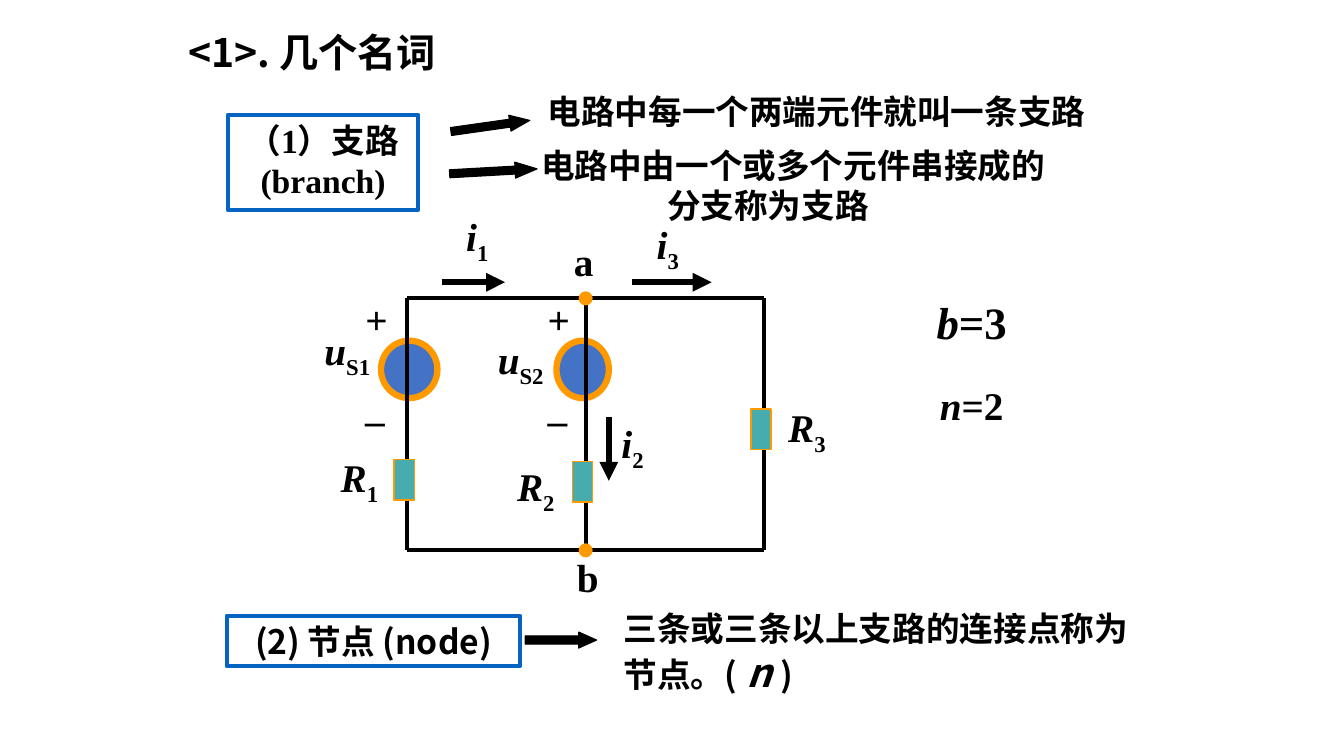
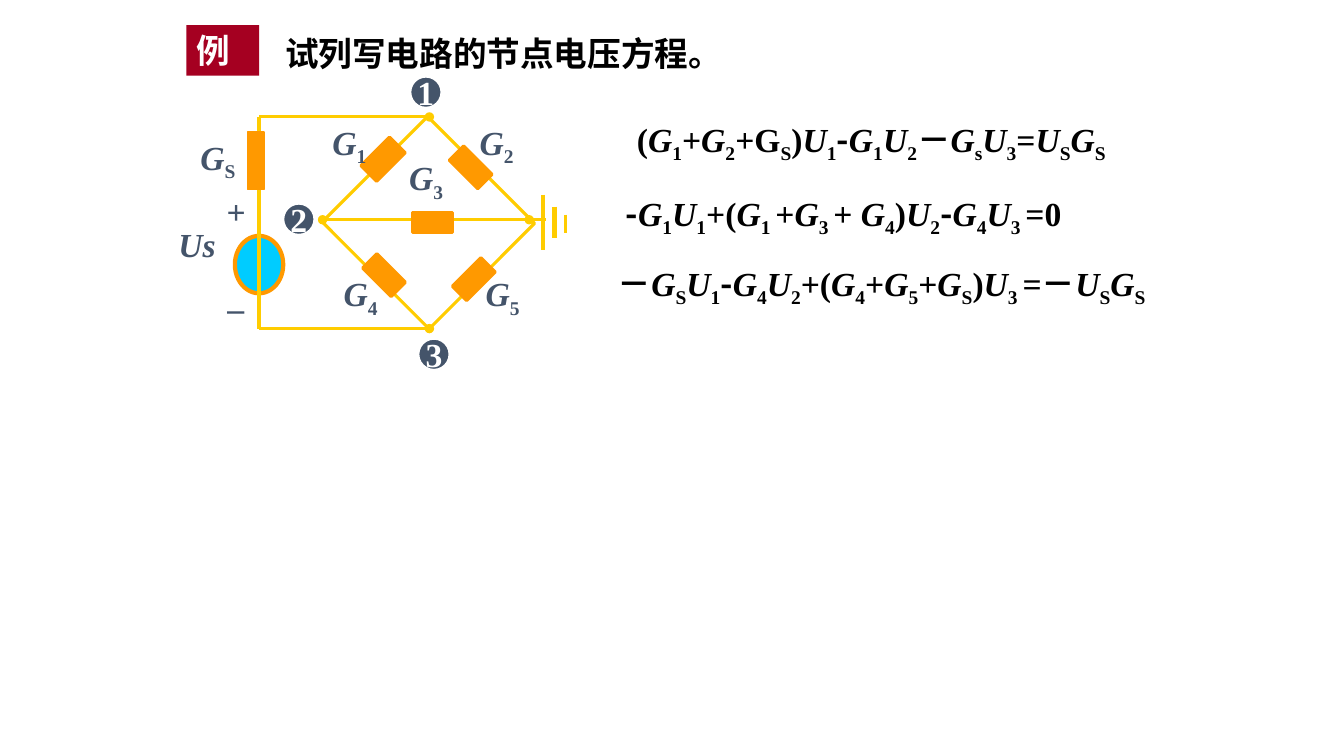
from itertools import groupby
from lxml import etree
from pptx import Presentation
from pptx.dml.color import RGBColor
from pptx.enum.shapes import MSO_CONNECTOR, MSO_SHAPE
from pptx.enum.text import MSO_ANCHOR, MSO_AUTO_SIZE, PP_ALIGN
from pptx.oxml.ns import qn
from pptx.util import Inches, Pt

RECT, OVAL, ARROW = MSO_SHAPE.RECTANGLE, MSO_SHAPE.OVAL, MSO_SHAPE.RIGHT_ARROW
LEFT, MID = PP_ALIGN.LEFT, PP_ALIGN.CENTER
TOP, HALF = MSO_ANCHOR.TOP, MSO_ANCHOR.MIDDLE
GROW, FIXED = MSO_AUTO_SIZE.SHAPE_TO_FIT_TEXT, MSO_AUTO_SIZE.NONE
STRAIGHT = MSO_CONNECTOR.STRAIGHT
SERIF, SANS = "Times New Roman", "Noto Sans CJK SC"
HUES = {name: RGBColor.from_string(code) for name, code in {
    "black": "000000", "white": "FFFFFF", "blue": "4472C4", "frame": "0563C1",
    "orange": "FF9900", "teal": "46ACAE", "red": "A50021", "slate": "44546A",
    "gold": "FFCC00", "cyan": "00CCFF"}.items()}
CELL = Inches(0.1)


def put(page, at, text="", kind=None, fill=None, edge=None, width=1, turn=0,
        size=28, hue="black", align=MID, anchor=HALF, wrap=False, fit=GROW):
    box = [int(n * CELL) for n in at]
    if kind is None:
        shape = page.shapes.add_textbox(*box)
    else:
        shape = page.shapes.add_shape(kind, *box)
        shape.shadow.inherit = False
        shape.rotation = turn
        for paint, name in ((shape.fill, fill), (shape.line.fill, edge)):
            if name:
                paint.solid()
                paint.fore_color.rgb = HUES[name]
            else:
                paint.background()
        if edge:
            shape.line.width = Pt(width)
    if text:
        frame = shape.text_frame
        for key, value in {"word_wrap": wrap, "auto_size": fit,
                           "vertical_anchor": anchor}.items():
            setattr(frame, key, value)
        para = frame.paragraphs[0]
        para.alignment = align
        marks = set()
        for toggle, chars in groupby(text, lambda char: char in "*~^"):
            if toggle:
                marks ^= set(chars)
                continue
            run = para.add_run()
            run.text = "".join(chars)
            run.font.color.rgb = HUES[hue]
            look = {"name": SANS if "^" in marks else SERIF, "size": Pt(size),
                    "bold": True, "italic": "*" in marks}
            for key, value in look.items():
                setattr(run.font, key, value)
            props = run._r.get_or_add_rPr()
            etree.SubElement(props, qn("a:ea")).set("typeface", SANS)
            if "~" in marks:
                props.set("baseline", "-25000")
    return shape


def wire(page, ends, hue, width, head=None, tail=None):
    line = page.shapes.add_connector(STRAIGHT, *[int(n * CELL) for n in ends])
    line.line.color.rgb = HUES[hue]
    line.line.width = Pt(width)
    for tag, tip in (("a:headEnd", head), ("a:tailEnd", tail)):
        if tip:
            etree.SubElement(line.line._get_or_add_ln(), qn(tag)).set("type", tip)
    etree.SubElement(line._element.spPr, qn("a:effectLst"))


prs = Presentation()
prs.slide_width, prs.slide_height = int(133.33 * CELL), 75 * CELL
terms, task = [prs.slides.add_slide(prs.slide_layouts[6]) for _ in range(2)]

put(terms, (14.9, 2.3, 32.1, 5.7), "^<1>. 几个名词", wrap=True)
put(terms, (51.3, 8.5, 59.4, 5), "电路中每一个两端元件就叫一条支路",
    size=24, anchor=TOP, wrap=True)
branch = put(terms, (52.7, 13.8, 55.1, 9.1),
             "电路中由一个或多个元件串接成的分支称为支路",
             size=24, align=LEFT, wrap=True)
indent = branch.text_frame.paragraphs[0]._p.get_or_add_pPr()
for key, value in {"marL": 12.5, "indent": -12.5}.items():
    indent.set(key, str(int(value * CELL)))
node = put(terms, (60.9, 59.8, 52, 9.7),
           "^三条或三条以上支路的连接点称为节点。(* n *)",
           size=24, align=LEFT, wrap=True)
node.text_frame.paragraphs[0].runs[1].font.size = Pt(28)

for at, text, anchor in (((22.6, 11.4, 18.9, 9.4), "（1）支路 (branch)", TOP),
                         ((22.5, 61.1, 29.1, 5), "^(2) 节点 (node)", HALF)):
    put(terms, at, text, RECT, edge="frame", width=3, size=24,
        anchor=anchor, wrap=True)
for at, turn, tip in (((44.7, 11.7, 7.9, 1.6), 351.9, 1.25),
                      ((44.6, 16.2, 8.7, 1.6), 356.8, 1.37),
                      ((52.1, 62.7, 7.1, 1.6), 0, 1.12)):
    arrow = put(terms, at, "", ARROW, "black", "black", 0.75, turn)
    arrow.adjustments[1] = tip

for x, wide in ((37.8, 5.6), (55.2, 5.2)):
    put(terms, (x, 33.8, wide, 5.7), "", OVAL, "blue", "orange", 4.5)
cols = [40.4 + 17.7 * i for i in range(3)]
rows = 29.6, 54.6
for x in cols:
    wire(terms, (x, rows[0], x, rows[1]), "black", 3)
for y in rows:
    wire(terms, (cols[0], y, cols[-1], y), "black", 3)
    put(terms, (57.4, y - 0.7, 1.4, 1.4), "", OVAL, "orange")
for x, y in ((39.1, 45.6), (56.8, 45.8), (74.5, 40.6)):
    put(terms, (x, y, 2, 4), "", RECT, "teal", "orange")
for ends in ((43.8, 28, 50.1, 28), (62.7, 28, 70.6, 28), (60.4, 41.4, 60.4, 47.7)):
    wire(terms, ends, "black", 4.5, tail="triangle")

for x in (35.2, 53.3):
    put(terms, (x, 28.8, 4.3, 5.7), "+")
    put(terms, (x, 37.4, 4, 5.7), "_")
for x, y, wide, text in (
        (55.7, 23, 4.4, "a"), (55.7, 54.4, 5.2, "b"), (92.2, 37.3, 8.4, "*n*=2"),
        (29.7, 32.2, 9.5, "*u*~S1"), (46.9, 33.1, 9.5, "*u*~S2"),
        (30.9, 44.8, 9.5, "*R*~1"), (48.4, 45.7, 9.5, "*R*~2"),
        (75.3, 39.8, 9.5, "*R*~3"), (44.6, 20.9, 5.5, "*i*~1"),
        (60.4, 41.4, 4.7, "*i*~2"), (63.5, 21.7, 5.5, "*i*~3")):
    put(terms, (x, y, wide, 5.7), text)
put(terms, (91.9, 28.8, 9, 6.3), "*b*=3", size=32)

put(task, (18.5, 2.5, 7.2, 5), "例", RECT, "red", size=24, hue="white",
    align=LEFT, anchor=TOP, wrap=True)
for x, y, wide, text in (
        (27.3, 2.8, 45.6, "试列写电路的节点电压方程。"),
        (62.2, 11.3, 50.5, "(*G*~1~+*G*~2~+G~S~)*U*~1~^-^*G*~1~*U*~2~^－^*G*~s~*U*~3~=*U*~S~*G*~S"),
        (61.1, 18.6, 47.8, "^-^*G*~1~*U*~1~+(*G*~1 ~+*G*~3 ~+ *G*~4~)*U*~2~^-^*G*~4~*U*~3 ~=0"),
        (60.3, 25.6, 58.4, "^－^*G*~S~*U*~1~^-^*G*~4~*U*~2~+(*G*~4~+*G*~5~+*G*~S~)*U*~3 ~=^－^*U*~S~*G*~S")):
    put(task, (x, y, wide, 5), text, size=24, align=LEFT, anchor=TOP)

put(task, (35, 14.7, 15, 14.8), "", RECT, edge="gold", width=2.25, turn=45)
put(task, (23.3, 23.4, 4.8, 5.7), "", OVAL, "cyan", "orange", 3)
for y in (11.6, 32.6):
    wire(task, (42.6, y, 25.7, y), "gold", 2.25, head="oval")
wire(task, (25.7, 11.6, 25.7, 32.6), "gold", 2.25)
wire(task, (32, 21.8, 52.5, 21.8), "gold", 2.25, "oval", "oval")
wire(task, (51.7, 21.8, 54.2, 21.8), "gold", 2.25)
for x, top, end, width in ((53.9, 19.3, 24.8, 3), (55, 20.5, 23.6, 3),
                           (56.1, 21.3, 23.1, 2.25)):
    wire(task, (x, top, x, end), "gold", width)
for x, y, wide, turn in ((36.9, 13.8, 2.2, 45), (45.7, 14.6, 2, 315),
                         (37.1, 25.3, 2, 315), (46, 25.7, 2, 45),
                         (41.9, 20.1, 2, 270)):
    put(task, (x, y, wide, 4), "", RECT, "orange", "orange", 2.25, turn)
put(task, (24.6, 13.1, 1.6, 5.7), "", RECT, "orange", "orange", 0.75)

for x, y, name in ((32, 11.6, "1"), (46.6, 11.6, "2"), (39.6, 15.1, "3"),
                   (33.1, 26.6, "4"), (47.2, 26.6, "5"), (18.9, 13.1, "S")):
    put(task, (x, y, 5.5, 5), f"*G*~{name}", size=24, hue="slate",
        align=LEFT, anchor=TOP)
put(task, (16.7, 21.7, 5.9, 5), "*Us", size=24, hue="slate",
    align=LEFT, anchor=TOP, wrap=True)
for y, sign in ((18.4, "+"), (26.9, "_")):
    put(task, (21.5, y, 3.8, 5), sign, size=24, hue="slate")
for x, y, name in ((40.7, 7.6, "1"), (28.1, 20.2, "2"), (41.5, 33.6, "3")):
    put(task, (x, y, 3.1, 3.1), name, OVAL, "slate", "white", 1.5,
        size=24, hue="white", fit=FIXED)

prs.save("out.pptx")
